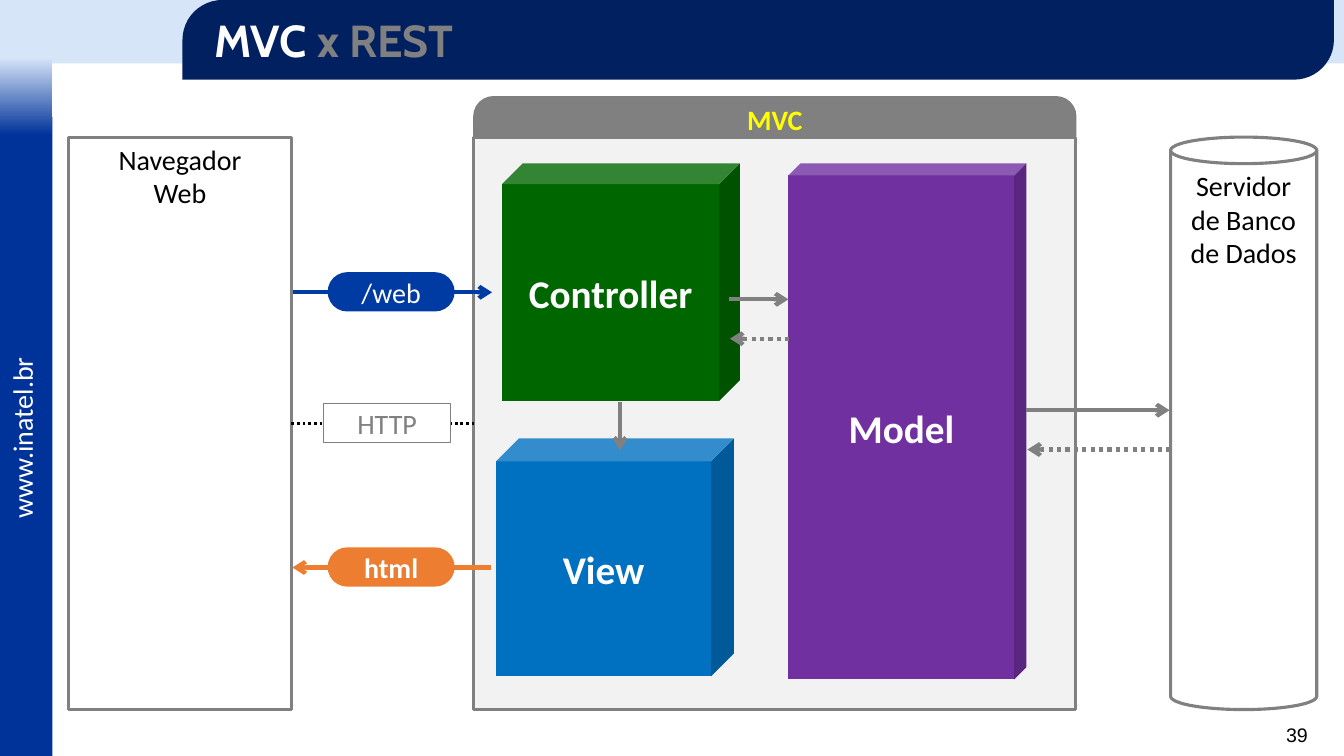
from pptx import Presentation
from pptx.dml.color import RGBColor
from pptx.enum.dml import MSO_LINE_DASH_STYLE as Dash
from pptx.enum.shapes import MSO_CONNECTOR, MSO_SHAPE as Shape
from pptx.enum.text import MSO_ANCHOR as Anchor, PP_ALIGN as Align
from pptx.oxml.ns import qn
from pptx.util import Inches, Pt
from lxml import etree

WHITE = RGBColor(0xFF, 0xFF, 0xFF)
BLACK = RGBColor(0, 0, 0)
GRAY = RGBColor(0x80, 0x80, 0x80)
EDGE_GRAY = RGBColor(0x7F, 0x7F, 0x7F)
PALE_GRAY = RGBColor(0xF2, 0xF2, 0xF2)
SKY = RGBColor(0xD7, 0xE5, 0xF9)
ROYAL = RGBColor(0x00, 0x33, 0x99)
NAVY = RGBColor(0x00, 0x20, 0x60)
BLUE = RGBColor(0x00, 0x3B, 0xA3)
GREEN = RGBColor(0x00, 0x66, 0x00)
PURPLE = RGBColor(0x70, 0x30, 0xA0)
AZURE = RGBColor(0x00, 0x70, 0xC0)
ORANGE = RGBColor(0xED, 0x7D, 0x31)
YELLOW = RGBColor(0xFF, 0xFF, 0x00)

PANEL_TOP, PANEL_HEIGHT = 1.36, 5.68
MVC_LEFT, MVC_WIDTH = 4.7, 5.97
CUBE = 2.36
TAG_WIDTH, TAG_HEIGHT = 1.26, 0.39

TITLE = [("MVC ", WHITE), ("x REST", GRAY)]
PANELS = {
    "browser": (Shape.RECTANGLE, 0.68, 2.21, WHITE, ["Navegador", "Web"]),
    "mvc": (Shape.RECTANGLE, MVC_LEFT, MVC_WIDTH, PALE_GRAY, []),
    "database": (Shape.CAN, 11.61, 1.45, None, ["Servidor de Banco de Dados"]),
}
CUBES = [
    ("Controller", 4.98, 1.62, CUBE, 0.088, GREEN),
    ("Model", 7.82, 1.62, 5.12, 0.051, PURPLE),
    ("View", 4.92, 4.35, CUBE, 0.096, AZURE),
]
ARROWS = [
    ((2.91, 2.9), (4.88, 2.9), BLUE, False),
    ((4.87, 5.63), (2.9, 5.63), ORANGE, False),
    ((7.23, 2.97), (7.82, 2.97), GRAY, False),
    ((6.15, 3.99), (6.15, 4.47), GRAY, False),
    ((7.83, 3.36), (7.24, 3.36), GRAY, True),
    ((10.18, 4.07), (11.6, 4.07), GRAY, False),
    ((11.61, 4.46), (10.19, 4.46), GRAY, True),
]
TAGS = [
    ("html", 3.25, 5.43, 0.5, ORANGE, None, WHITE, True),
    ("/web", 3.25, 2.7, 0.5, BLUE, None, WHITE, False),
    ("HTTP", 3.21, 4, 0, WHITE, GRAY, GRAY, False),
]

deck = Presentation()
deck.slide_width, deck.slide_height = Inches(13.33), Inches(7.5)
page = deck.slides.add_slide(deck.slide_layouts[6])


def write(shape, lines, align=Align.CENTER, anchor=Anchor.MIDDLE, **font):
    frame = shape.text_frame
    frame.word_wrap = True
    frame.vertical_anchor = anchor
    for index, spans in enumerate(lines):
        para = frame.paragraphs[0] if index == 0 else frame.add_paragraph()
        para.alignment = align
        for text, color in spans:
            span = para.add_run()
            span.text = text
            span.font.color.rgb = color
            for name, value in ({"name": "Calibri", "size": Pt(20)} | font).items():
                setattr(span.font, name, value)


def add_box(kind, place, fill, line=None, width=1, adjust=()):
    box = page.shapes.add_shape(kind, *map(Inches, place))
    box.shadow.inherit = False
    for index, value in enumerate(adjust):
        box.adjustments[index] = value
    if fill is None:
        box.fill.background()
    else:
        box.fill.solid()
        box.fill.fore_color.rgb = fill
    if line is None:
        box.line.fill.background()
    else:
        box.line.color.rgb = line
        box.line.width = Pt(width)
    return box


def add_line(start, end, color, width, dotted, arrow=True):
    line = page.shapes.add_connector(MSO_CONNECTOR.STRAIGHT, *map(Inches, start + end))
    line.line.color.rgb = color
    line.line.width = Pt(width)
    if dotted:
        line.line.dash_style = Dash.ROUND_DOT
    if arrow:
        etree.SubElement(line.line._get_or_add_ln(), qn("a:tailEnd"), type="arrow")
    etree.SubElement(line._element.spPr, qn("a:effectLst"))
    return line


def add_label(place, text, color, align, **font):
    label = page.shapes.add_textbox(*map(Inches, place))
    write(label, [[(text, color)]], align, Anchor.TOP, **font)
    return label


add_box(Shape.RECTANGLE, (0, 0, 13.33, 0.63), SKY)
add_box(Shape.RECTANGLE, (0, 1.16, 0.52, 6.34), ROYAL)
fade = add_box(Shape.RECTANGLE, (0, 0.57, 0.52, 0.77), SKY)
fade.fill.gradient()
fade.fill.gradient_angle = 270
for stop, color, position in zip(fade.fill.gradient_stops, (SKY, ROYAL), (0, 1)):
    stop.color.rgb = color
    stop.position = position
site = add_label((-0.72, 4.09, 1.87, 0.43), "www.inatel.br", WHITE, Align.LEFT)
site.rotation = 270
add_label((12.42, 7.12, 0.65, 0.34), "39", BLACK, Align.RIGHT, name="Arial", size=Pt(14))

banner = add_box(Shape.ROUND_2_DIAG_RECTANGLE, (1.81, 0, 11.42, 0.79), NAVY, adjust=(0.5, 0))
banner.text_frame.margin_left = Inches(0.2)
write(banner, [TITLE], Align.LEFT, name="Cabin", size=Pt(32), bold=True)

panels = {}
for name, (kind, left, width, fill, lines) in PANELS.items():
    panel = add_box(kind, (left, PANEL_TOP, width, PANEL_HEIGHT), fill, GRAY, 2.25,
                    (0.182,) if kind == Shape.CAN else ())
    write(panel, [[(line, BLACK)] for line in lines], anchor=Anchor.TOP)
    panels[name] = panel

for text, left, top, height, depth, fill in CUBES:
    cube = add_box(Shape.CUBE, (left, top, CUBE, height), fill, adjust=(depth,))
    write(cube, [[(text, WHITE)]], size=Pt(28), bold=True)

for start, end, color, dotted in ARROWS:
    add_line(start, end, color, 3, dotted)

http_line = add_line((2.89, 4.2), (MVC_LEFT, 4.2), BLACK, 2, True, arrow=False)
http_line.begin_connect(panels["browser"], 3)
http_line.end_connect(panels["mvc"], 1)

header = add_box(Shape.ROUND_2_SAME_RECTANGLE, (MVC_LEFT, 0.96, MVC_WIDTH, TAG_HEIGHT),
                 GRAY, EDGE_GRAY, adjust=(0.5, 0))
write(header, [[("MVC", YELLOW)]], bold=True)

for text, left, top, curve, fill, line, color, bold in TAGS:
    tag = add_box(Shape.ROUND_2_SAME_RECTANGLE, (left, top, TAG_WIDTH, TAG_HEIGHT),
                  fill, line, adjust=(curve, curve))
    write(tag, [[(text, color)]], bold=bold)

deck.save("out.pptx")
